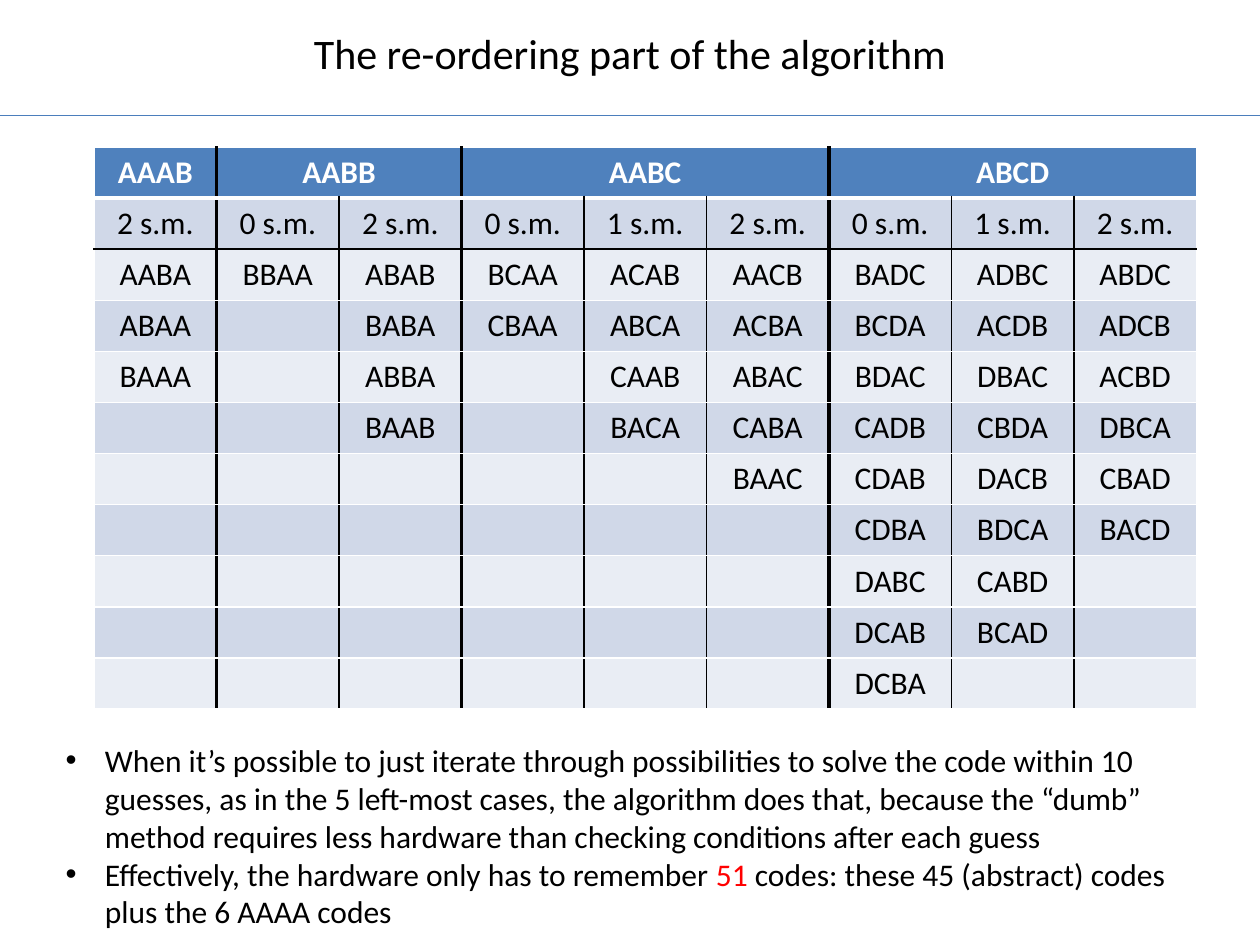
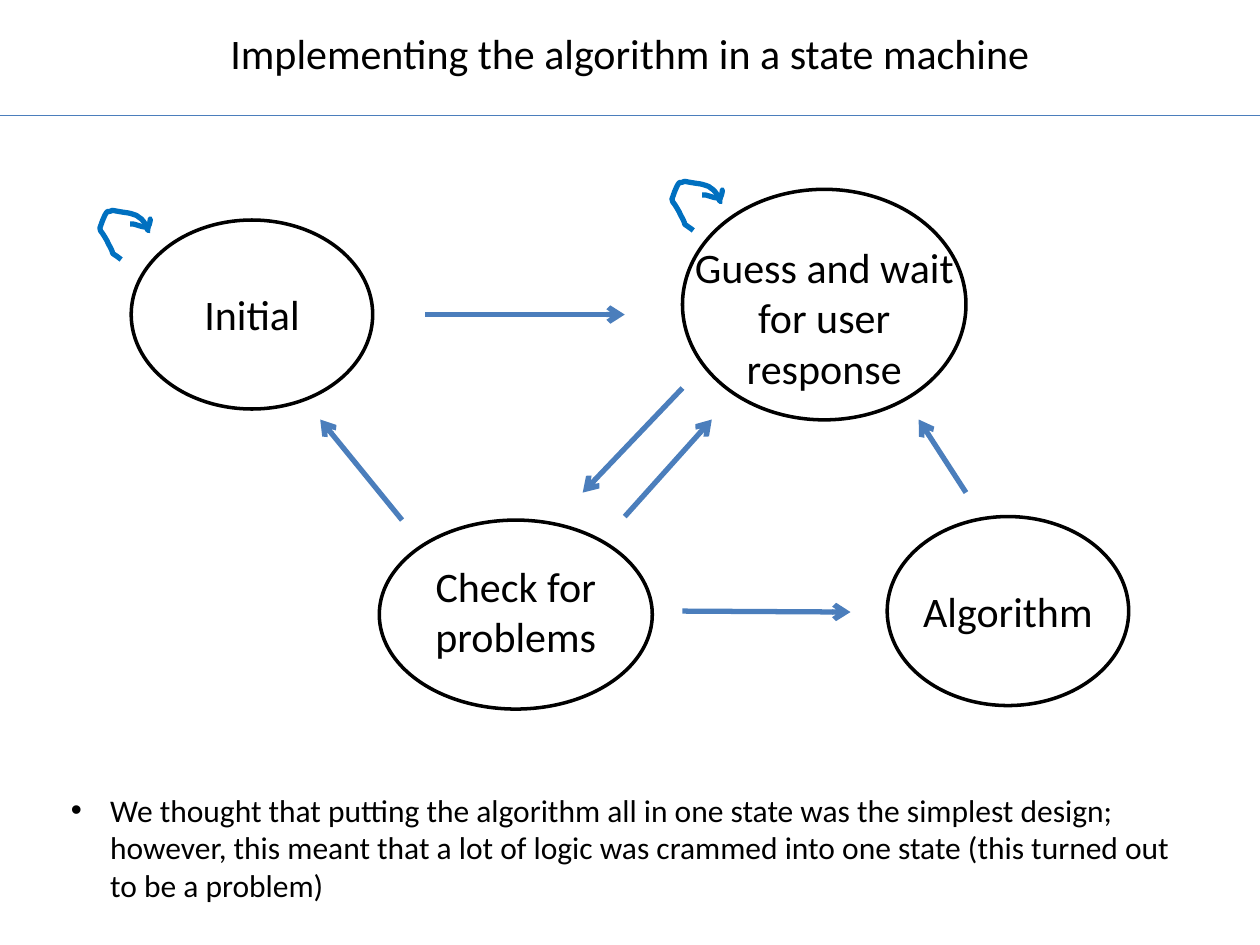
from lxml import etree
from pptx import Presentation
from pptx import util as u
from pptx.dml.color import RGBColor
from pptx.enum import shapes, text
from pptx.oxml import ns

BLACK = RGBColor(0x00, 0x00, 0x00)
WHITE = RGBColor(0xFF, 0xFF, 0xFF)
RED = RGBColor(0xFF, 0x00, 0x00)
ARROW_BLUE = RGBColor(0x4B, 0x7E, 0xBC)
LOOP_BLUE = RGBColor(0x00, 0x70, 0xC0)
HEADER_BLUE = RGBColor(0x4F, 0x81, 0xBD)
BANDS = (RGBColor(0xE9, 0xED, 0xF4), RGBColor(0xD0, 0xD8, 0xE8))

SLIDE_WIDTH, SLIDE_HEIGHT = 720, 540
FONT = "Calibri"
LARGE, BODY = 24, 18
BULLET_INDENT = 22.5

# Code groups: heading and, for each column, its cells from top to bottom
CODE_GROUPS = [
    ("AAAB", ["2 s.m.|AABA|ABAA|BAAA"]),
    ("AABB", ["0 s.m.|BBAA", "2 s.m.|ABAB|BABA|ABBA|BAAB"]),
    ("AABC", ["0 s.m.|BCAA|CBAA", "1 s.m.|ACAB|ABCA|CAAB|BACA",
              "2 s.m.|AACB|ACBA|ABAC|CABA|BAAC"]),
    ("ABCD", ["0 s.m.|BADC|BCDA|BDAC|CADB|CDAB|CDBA|DABC|DCAB|DCBA",
              "1 s.m.|ADBC|ACDB|DBAC|CBDA|DACB|BDCA|CABD|BCAD",
              "2 s.m.|ABDC|ADCB|ACBD|DBCA|CBAD|BACD"]),
]

# Self-loop: a start point, then Bezier segments of three points each
LOOP_STROKE = [
    (12.2, 28.1), (3.6, 21.6), (10.1, 28.1), (5, 19.4),
    (4.3, 17.3), (1.4, 13), (1.4, 13), (0.7, 12.2), (0, 11.5), (0, 10.1),
    (0.7, 8.6), (2.2, 2.9), (4.3, 0.7), (5, 0.7), (6.5, 0.7), (7.2, 0),
    (18.7, 2.2), (14.4, 0.7), (20.9, 2.9), (21.6, 3.6), (23, 4.3), (23.8, 5),
    (29.5, 11.5), (25.2, 11.5), (28.8, 11.5),
]
LOOP_HEAD = [
    (27.4, 10.1), (28.1, 8.6), (28.8, 6.5), (28.8, 5),
    (28.8, 3.6), (28.8, 8.6), (27.4, 9.4),
    (25.2, 10.1), (22.3, 8.6), (19.4, 7.9), (18.7, 7.9), (18, 7.9), (17.3, 7.9),
]


def add_xml(parent, tag, **attributes):
    return etree.SubElement(parent, ns.qn(tag), **attributes)


class Deck:
    def __init__(self):
        self.presentation = Presentation()
        self.presentation.slide_width = u.Pt(SLIDE_WIDTH)
        self.presentation.slide_height = u.Pt(SLIDE_HEIGHT)
        self.slide = None

    def add_slide(self, title):
        self.slide = self.presentation.slides.add_slide(self.presentation.slide_layouts[6])
        self.label(title, 0, 12, SLIDE_WIDTH, 36)
        self.line((0, 66), (SLIDE_WIDTH, 66), 0.75)

    def format_run(self, run, size, color=BLACK, bold=False):
        run.font.name = FONT
        run.font.size = u.Pt(size)
        run.font.bold = bold
        run.font.color.rgb = color

    def text_box(self, left, top, width, height):
        shape = self.slide.shapes.add_textbox(*map(u.Pt, (left, top, width, height)))
        shape.text_frame.word_wrap = True
        shape.text_frame.auto_size = text.MSO_AUTO_SIZE.SHAPE_TO_FIT_TEXT
        return shape.text_frame

    def label(self, words, left, top, width, height):
        text_frame = self.text_box(left, top, width, height)
        text_frame.text = words
        paragraph = text_frame.paragraphs[0]
        paragraph.alignment = text.PP_ALIGN.CENTER
        self.format_run(paragraph.runs[0], LARGE)

    def bullets(self, items, left, top, width, height):
        """Each item is a list of (words, color) pieces."""
        text_frame = self.text_box(left, top, width, height)
        for index, pieces in enumerate(items):
            paragraph = text_frame.add_paragraph() if index else text_frame.paragraphs[0]
            for words, color in pieces:
                run = paragraph.add_run()
                run.text = words
                self.format_run(run, BODY, color)
            properties = paragraph._p.get_or_add_pPr()
            properties.set("marL", str(u.Pt(BULLET_INDENT)))
            properties.set("indent", str(-u.Pt(BULLET_INDENT)))
            add_xml(properties, "a:buFont", typeface="Arial")
            add_xml(properties, "a:buChar", char="•")

    def line(self, start, end, width, arrow=False):
        connector = self.slide.shapes.add_connector(
            shapes.MSO_CONNECTOR.STRAIGHT, *map(u.Pt, (*start, *end)))
        connector.line.color.rgb = ARROW_BLUE
        connector.line.width = u.Pt(width)
        if arrow:
            add_xml(connector.line._get_or_add_ln(), "a:tailEnd", type="arrow")
        add_xml(connector._element.spPr, "a:effectLst")

    def outline(self, shape, color, width):
        shape.shadow.inherit = False
        shape.fill.background()
        shape.line.color.rgb = color
        shape.line.width = u.Pt(width)

    def ellipse(self, left, top, width, height):
        shape = self.slide.shapes.add_shape(
            shapes.MSO_SHAPE.OVAL, *map(u.Pt, (left, top, width, height)))
        self.outline(shape, BLACK, 2)

    def curve(self, controls, left, top):
        points = [(u.Pt(left + x), u.Pt(top + y)) for x, y in controls]
        builder = self.slide.shapes.build_freeform(*points[0])
        builder.add_line_segments(points[3::3], close=False)
        shape = builder.convert_to_shape()
        self.outline(shape, LOOP_BLUE, 3)
        # Turn each straight segment into a Bezier segment
        segments = list(shape._element.iter(ns.qn("a:lnTo")))
        for index, segment in enumerate(segments):
            segment.tag = ns.qn("a:cubicBezTo")
            for position, (x, y) in enumerate(points[3 * index + 1:3 * index + 3]):
                handle = add_xml(segment, "a:pt", x=str(x - shape.left), y=str(y - shape.top))
                segment.insert(position, handle)

    def self_loop(self, left, top):
        for controls in (LOOP_STROKE, LOOP_HEAD):
            self.curve(controls, left, top)

    def border(self, cell, side, color, width):
        line = add_xml(cell._tc.get_or_add_tcPr(), f"a:ln{side}", w=str(u.Pt(width)))
        add_xml(add_xml(line, "a:solidFill"), "a:srgbClr", val=str(color))

    def fill_cell(self, cell, words, fill, color=BLACK, bold=False):
        cell.fill.solid()
        cell.fill.fore_color.rgb = fill
        cell.text_frame.text = words
        paragraph = cell.text_frame.paragraphs[0]
        paragraph.alignment = text.PP_ALIGN.CENTER
        for run in paragraph.runs:
            self.format_run(run, BODY, color, bold)

    def code_table(self, groups, left, top, column_width, row_height):
        columns = [column.split("|") for _, group in groups for column in group]
        row_count = 1 + max(map(len, columns))
        column_count = len(columns)
        table = self.slide.shapes.add_table(
            row_count, column_count, u.Pt(left), u.Pt(top),
            u.Pt(column_width * column_count), u.Pt(row_height * row_count)).table
        table.horz_banding = False

        # Lines between columns and between rows, by boundary number
        vertical = [(BLACK, 1)] * (column_count + 1)
        vertical[0] = vertical[-1] = (WHITE, 1)
        group_starts = []
        start = 0
        for _, group in groups:
            group_starts.append(start)
            if start:
                vertical[start] = (BLACK, 2.25)
            start += len(group)
        horizontal = [(WHITE, 1)] * (row_count + 1)
        horizontal[1] = (WHITE, 3)
        horizontal[2] = (BLACK, 1)

        # Header row, one merged cell for each group
        for start, (heading, group) in zip(group_starts, groups):
            end = start + len(group)
            cell = table.cell(0, start)
            if len(group) > 1:
                cell.merge(table.cell(0, end - 1))
            for column in range(start, end):
                part = table.cell(0, column)
                self.border(part, "L", *vertical[start])
                self.border(part, "R", *vertical[end])
                self.border(part, "T", *horizontal[0])
                self.border(part, "B", *horizontal[1])
            self.fill_cell(cell, heading, HEADER_BLUE, WHITE, True)

        # Banded body
        for column, entries in enumerate(columns):
            for row in range(1, row_count):
                cell = table.cell(row, column)
                self.border(cell, "L", *vertical[column])
                self.border(cell, "R", *vertical[column + 1])
                self.border(cell, "T", *horizontal[row])
                self.border(cell, "B", *horizontal[row + 1])
                words = entries[row - 1] if row <= len(entries) else ""
                self.fill_cell(cell, words, BANDS[row % 2])


def build_reordering(deck):
    deck.add_slide("The re-ordering part of the algorithm")
    deck.code_table(CODE_GROUPS, 53.75, 84, 70, 29.2)
    deck.bullets([
        [("When it’s possible to just iterate through possibilities to solve the code "
          "within 10 guesses, as in the 5 left-most cases, the algorithm does that, "
          "because the “dumb” method requires less hardware than checking conditions "
          "after each guess", BLACK)],
        [("Effectively, the hardware only has to remember ", BLACK), ("51", RED),
         (" codes: these 45 (abstract) codes plus the 6 AAAA codes", BLACK)],
    ], 30.4, 420, 653, 116.5)


def build_state_machine(deck):
    deck.add_slide("Implementing the algorithm in a state machine")

    # States: ellipse box, then label and its box
    states = [
        ((75, 125.75, 138, 108), "Initial", (96, 161.5, 96, 36)),
        ((390, 108.2, 162, 131.75), "Guess and wait for user response", (381, 134.5, 180, 94)),
        ((216.75, 297.2, 156, 108), "Check for problems", (204.75, 316.5, 180, 65.5)),
        ((507, 295.2, 138, 108), "Algorithm", (486, 331, 180, 36)),
    ]
    for ellipse_box, name, label_box in states:
        deck.ellipse(*ellipse_box)
        deck.label(name, *label_box)

    # Transitions
    for start, end in [
        ((243, 179.75), (357, 179.75)),
        ((390, 221.75), (333, 281.5)),
        ((357, 295.2), (406.75, 239.75)),
        ((229.75, 297.2), (183, 239.75)),
        ((390, 349.2), (486, 349.75)),
        ((552, 281.5), (525, 239.75)),
    ]:
        deck.line(start, end, 3, arrow=True)
    for left, top in [(57.1, 120.2), (384, 103.6)]:
        deck.self_loop(left, top)

    deck.bullets([
        [("We thought that putting the algorithm all in one state was the simplest design; "
          "however, this meant that a lot of logic was crammed into one state (this turned "
          "out to be a problem)", BLACK)],
    ], 33.4, 448.2, 653, 72.5)


def main():
    deck = Deck()
    build_reordering(deck)
    build_state_machine(deck)
    deck.presentation.save("out.pptx")


if __name__ == "__main__":
    main()
